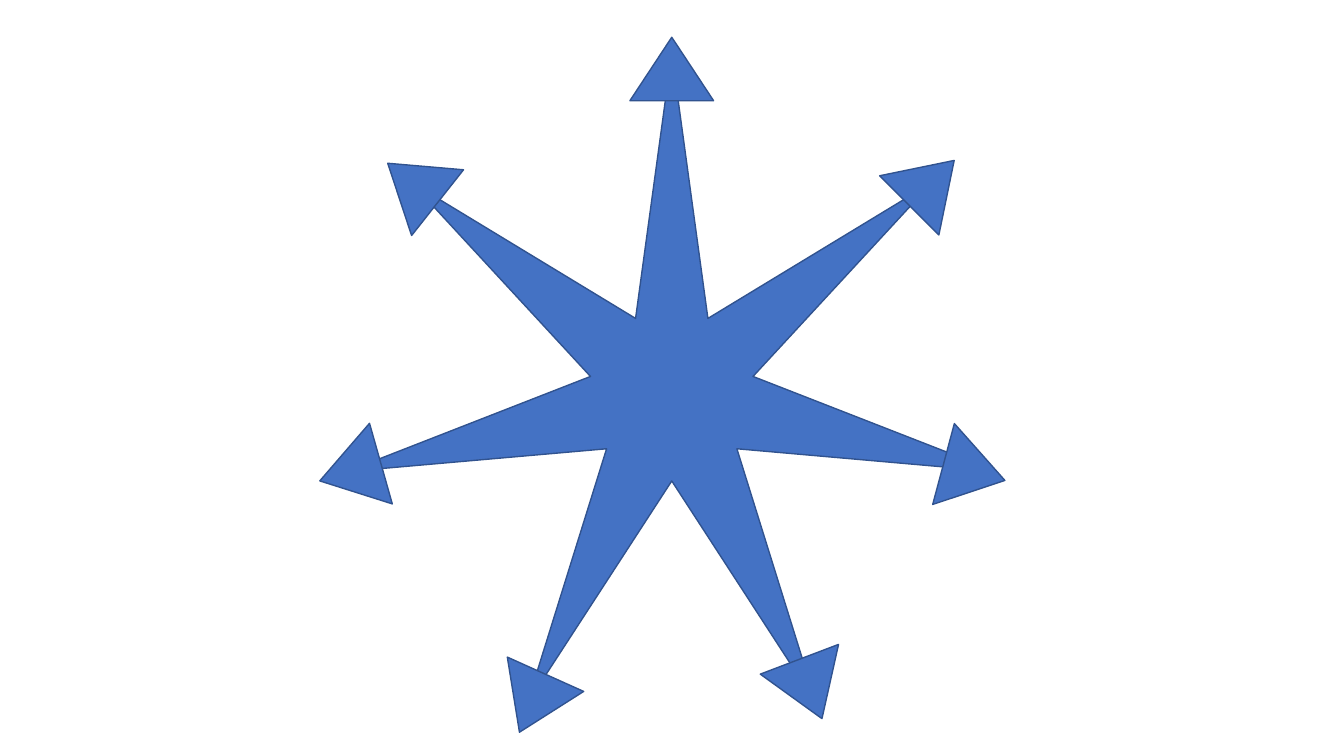
from pptx import Presentation
from pptx.dml.color import RGBColor
from pptx.enum.shapes import MSO_SHAPE
from pptx.util import Cm, Pt

STAR = MSO_SHAPE.STAR_7_POINT
TRIANGLE = MSO_SHAPE.ISOSCELES_TRIANGLE
BLUE = RGBColor(0x44, 0x72, 0xC4)
DARK_BLUE = RGBColor(0x31, 0x53, 0x8F)

# Content, in centimetres and degrees
SLIDE_SIZE = (33.87, 19.05)
STAR_CENTRE = (16.93, 9.54)
STAR_SIZE = (16.38, 16.38)
STAR_DEPTH = 0.125
TIP_SIZE = (2.11, 1.6)
TIPS = [  # centre x, centre y, rotation
    (16.93, 1.74, 0),
    (23.48, 4.61, 45),
    (24.55, 11.9, 105),
    (20.43, 17.36, 159.2),
    (13.42, 17.72, 204.2),
    (8.83, 11.9, 254.2),
    (10.4, 4.61, 308.3),
]


def add_centred(page, kind, centre, size, rotation=0):
    """Add a blue outlined shape around its centre point."""
    (x, y), (width, height) = centre, size
    shape = page.shapes.add_shape(
        kind, Cm(x - width / 2), Cm(y - height / 2), Cm(width), Cm(height))
    shape.rotation = rotation
    shape.shadow.inherit = False
    shape.fill.solid()
    shape.fill.fore_color.rgb = BLUE
    shape.line.color.rgb = DARK_BLUE
    shape.line.width = Pt(1)
    return shape


def main():
    deck = Presentation()
    deck.slide_width, deck.slide_height = map(Cm, SLIDE_SIZE)
    page = deck.slides.add_slide(deck.slide_layouts[6])

    # Seven-armed star
    star = add_centred(page, STAR, STAR_CENTRE, STAR_SIZE)
    star.adjustments[0] = STAR_DEPTH

    # Arrow tip on each arm
    for x, y, rotation in TIPS:
        add_centred(page, TRIANGLE, (x, y), TIP_SIZE, rotation)

    deck.save("out.pptx")


if __name__ == "__main__":
    main()
